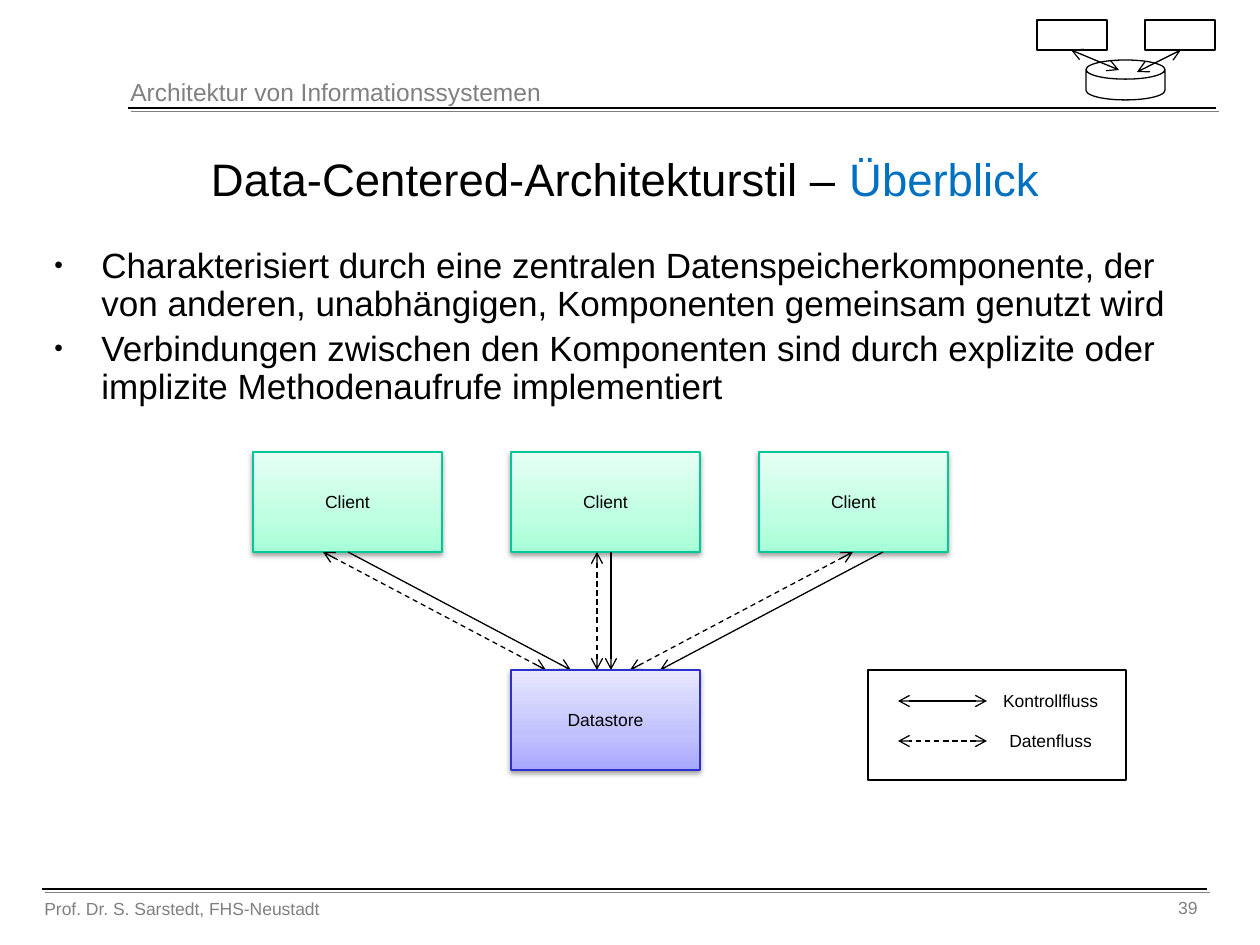
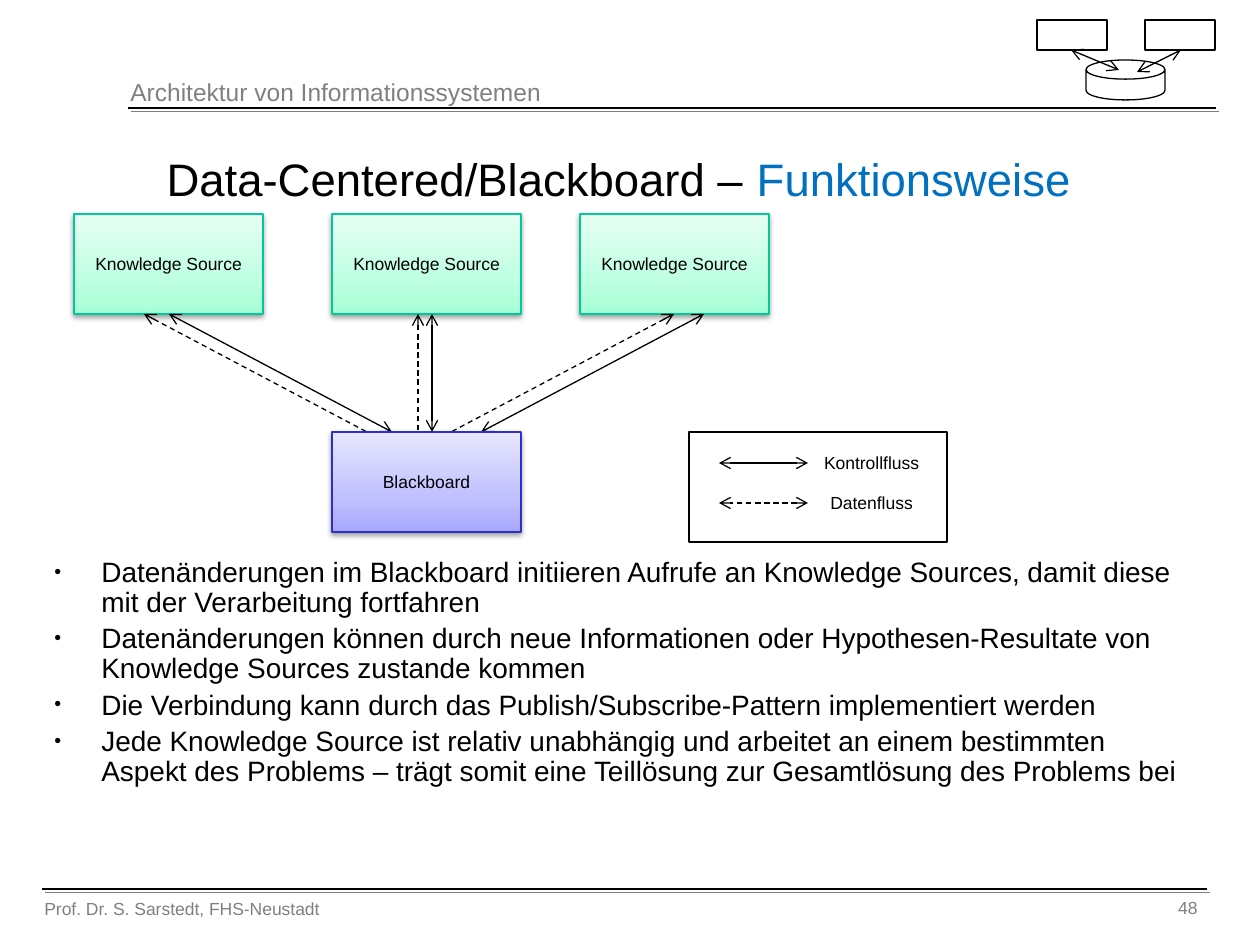
"""Build two slides on the data-centered architecture style."""
from dataclasses import dataclass

import pptx
import pptx.dml.color
import pptx.enum.dml
import pptx.enum.shapes
import pptx.enum.text
import pptx.oxml
import pptx.oxml.ns
import pptx.util

EMU_PER_PX = 914400 / 126
FONT = "Arial"
COLORS = {
    "text": "000000",
    "muted": "808080",
    "accent": "0070C0",
    "client_line": "00C896",
    "store_line": "2E2ECB",
}
GRADIENTS = {
    "client": ("A5FFD6", "BFFFE2", "E7FFF3"),
    "store": ("A7A7FF", "C1C1FF", "E7E7FF"),
}
STOPS = (0, 35000, 100000)

SHAPE = pptx.enum.shapes.MSO_SHAPE
ALIGN = pptx.enum.text.PP_ALIGN
ANCHOR = pptx.enum.text.MSO_ANCHOR


@dataclass(frozen=True)
class Box:
    x: int
    y: int
    w: int
    h: int

    def emu(self) -> list:
        return [px(v) for v in (self.x, self.y, self.w, self.h)]


@dataclass(frozen=True)
class Line:
    x1: int
    y1: int
    x2: int
    y2: int
    dashed: bool = False
    head: bool = False
    tail: bool = False


@dataclass(frozen=True)
class Shadow:
    color: str
    alpha: int
    blur: float
    dist: float
    angle: int


@dataclass(frozen=True)
class Page:
    number: str
    title: str
    highlight: str
    body: Box
    body_size: int
    bullets: tuple
    x: int
    y: int
    client: str
    store: str
    control_ends: tuple
    data_ends: tuple


RULE_SHADOW = Shadow(COLORS["muted"], 100, 0, 2.8, 45)
BOX_SHADOW = Shadow(COLORS["text"], 38, 3.1, 1.6, 90)

RULES = (Line(128, 108, 1216, 108), Line(42, 889, 1207, 889))
ICON_BOXES = (Box(1037, 20, 70, 30), Box(1145, 20, 70, 30))
ICON_ARROWS = (
    Line(1071, 50, 1119, 70, head=True, tail=True),
    Line(1181, 50, 1137, 72, head=True, tail=True),
)

CLIENT_XS = (0, 258, 506)
CLIENT_W, CLIENT_H = 189, 100
STORE_X, STORE_Y = 258, 218
CONTROL_XS = ((95, 318), (358, 358), (630, 407))
DATA_XS = ((70, 293), (344, 344), (600, 377))
LEGEND = (("Kontrollfluss", 249, False), ("Datenfluss", 289, True))

PAGES = (
    Page(
        "39", "Data-Centered-Architekturstil – ", "Überblick",
        Box(42, 242, 1166, 638), 20,
        (
            "Charakterisiert durch eine zentralen Datenspeicherkomponente, der von "
            "anderen, unabhängigen, Komponenten gemeinsam genutzt wird",
            "Verbindungen zwischen den Komponenten sind durch explizite oder "
            "implizite Methodenaufrufe implementiert",
        ),
        253, 452, "Client", "Datastore", (False, True), (True, True),
    ),
    Page(
        "48", "Data-Centered/Blackboard – ", "Funktionsweise ",
        Box(42, 552, 1166, 297), 16,
        (
            "Datenänderungen im Blackboard initiieren Aufrufe an Knowledge Sources, "
            "damit diese mit der Verarbeitung fortfahren",
            "Datenänderungen können durch neue Informationen oder "
            "Hypothesen-Resultate von Knowledge Sources zustande kommen",
            "Die Verbindung kann durch das Publish/Subscribe-Pattern "
            "implementiert werden",
            "Jede Knowledge Source ist relativ unabhängig und arbeitet an einem "
            "bestimmten Aspekt des Problems – trägt somit eine Teillösung zur "
            "Gesamtlösung des Problems bei",
        ),
        74, 214, "Knowledge Source", "Blackboard", (True, True), (True, False),
    ),
)


def px(value: float) -> int:
    return round(value * EMU_PER_PX)


def rgb(color: str) -> pptx.dml.color.RGBColor:
    return pptx.dml.color.RGBColor.from_string(color)


def a_xml(markup: str):
    name, rest = markup[:-2].split(" ", 1) if markup.endswith("/>") else (None, None)
    if name:
        markup = f"{name} {pptx.oxml.ns.nsdecls('a')} {rest}/>"
    else:
        name, rest = markup.split(">", 1)
        markup = f"{name} {pptx.oxml.ns.nsdecls('a')}>{rest}"
    return pptx.oxml.parse_xml(markup)


def add_run(p, text: str, size: int, color: str = "text") -> None:
    r = p.add_run()
    r.text = text
    r.font.size = pptx.util.Pt(size)
    r.font.name = FONT
    r.font.color.rgb = rgb(COLORS[color])


def add_text(s, box: Box, text: str, size: int, color: str = "text",
             align=ALIGN.LEFT, wrap: bool = True) -> None:
    tf = s.shapes.add_textbox(*box.emu()).text_frame
    tf.word_wrap = wrap
    p = tf.paragraphs[0]
    p.alignment = align
    add_run(p, text, size, color)


def set_line(sp, color: str) -> None:
    sp.line.color.rgb = rgb(COLORS[color])
    sp.line.width = pptx.util.Pt(0.75)


def set_shadow(sp, shadow: Shadow | None) -> None:
    inner = ""
    if shadow:
        inner = (
            f'<a:outerShdw blurRad="{pptx.util.Pt(shadow.blur)}" '
            f'dist="{pptx.util.Pt(shadow.dist)}" dir="{shadow.angle * 60000}" '
            f'algn="ctr" rotWithShape="0"><a:srgbClr val="{shadow.color}">'
            f'<a:alpha val="{shadow.alpha * 1000}"/></a:srgbClr></a:outerShdw>'
        )
    sp.element.spPr.append(a_xml(f"<a:effectLst>{inner}</a:effectLst>"))


def add_line(s, line: Line, shadow: Shadow | None = None) -> None:
    ends = [px(v) for v in (line.x1, line.y1, line.x2, line.y2)]
    sp = s.shapes.add_connector(pptx.enum.shapes.MSO_CONNECTOR.STRAIGHT, *ends)
    set_line(sp, "text")
    if line.dashed:
        sp.line.dash_style = pptx.enum.dml.MSO_LINE.DASH
    for tag, wanted in (("headEnd", line.head), ("tailEnd", line.tail)):
        if wanted:
            sp.get_or_add_ln().append(a_xml(f'<a:{tag} type="arrow"/>'))
    set_shadow(sp, shadow)


def add_outline(s, box: Box, kind=SHAPE.RECTANGLE):
    sp = s.shapes.add_shape(kind, *box.emu())
    sp.fill.background()
    set_line(sp, "text")
    sp.shadow.inherit = False
    return sp


def add_component(s, box: Box, label: str, style: str) -> None:
    sp = s.shapes.add_shape(SHAPE.RECTANGLE, *box.emu())
    set_line(sp, f"{style}_line")
    stops = "".join(
        f'<a:gs pos="{pos}"><a:srgbClr val="{color}"/></a:gs>'
        for pos, color in zip(STOPS, GRADIENTS[style])
    )
    sp.get_or_add_ln().addprevious(a_xml(
        f"<a:gradFill><a:gsLst>{stops}</a:gsLst>"
        '<a:lin ang="16200000" scaled="1"/></a:gradFill>'
    ))
    set_shadow(sp, BOX_SHADOW)
    tf = sp.text_frame
    tf.word_wrap = True
    tf.vertical_anchor = ANCHOR.MIDDLE
    p = tf.paragraphs[0]
    p.alignment = ALIGN.CENTER
    add_run(p, label, 10)


def add_frame(s, number: str) -> None:
    for rule in RULES:
        add_line(s, rule, RULE_SHADOW)
    add_text(s, Box(32, 892, 567, 34), "Prof. Dr. S. Sarstedt, FHS-Neustadt", 10, "muted")
    add_text(s, Box(118, 71, 883, 43), "Architektur von Informationssystemen", 14, "muted")
    add_text(s, Box(1081, 891, 129, 39), number, 10, "muted", ALIGN.RIGHT)


def add_icon(s) -> None:
    for box in ICON_BOXES:
        add_outline(s, box)
    can = add_outline(s, Box(1086, 60, 79, 40), SHAPE.CAN)
    can.adjustments[0] = 0.48
    for arrow in ICON_ARROWS:
        add_line(s, arrow)


def add_title(s, page: Page) -> None:
    sp = s.shapes.title
    sp.left, sp.top, sp.width, sp.height = Box(42, 147, 1166, 63).emu()
    tf = sp.text_frame
    tf.auto_size = pptx.enum.text.MSO_AUTO_SIZE.NONE
    tf.vertical_anchor = ANCHOR.MIDDLE
    p = tf.paragraphs[0]
    p.alignment = ALIGN.CENTER
    add_run(p, page.title, 26)
    add_run(p, page.highlight, 26, "accent")


def add_bullets(s, page: Page) -> None:
    tf = s.shapes.add_textbox(*page.body.emu()).text_frame
    tf.word_wrap = True
    for i, text in enumerate(page.bullets):
        p = tf.add_paragraph() if i else tf.paragraphs[0]
        p.line_spacing = 0.9
        p.space_before = pptx.util.Pt(page.body_size * 0.21)
        pPr = p._p.get_or_add_pPr()
        pPr.set("marL", str(px(47)))
        pPr.set("indent", str(px(-47)))
        pPr.append(a_xml('<a:buSzPct val="70000"/>'))
        pPr.append(a_xml(f'<a:buFont typeface="{FONT}"/>'))
        pPr.append(a_xml('<a:buChar char="•"/>'))
        add_run(p, text, page.body_size)


def add_diagram(s, page: Page) -> None:
    x, y = page.x, page.y
    for dx in CLIENT_XS:
        add_component(s, Box(x + dx, y, CLIENT_W, CLIENT_H), page.client, "client")
    flows = ((CONTROL_XS, False, page.control_ends), (DATA_XS, True, page.data_ends))
    for spans, dashed, ends in flows:
        for top, bottom in spans:
            add_line(s, Line(x + top, y + CLIENT_H, x + bottom, y + STORE_Y, dashed, *ends))
    add_component(s, Box(x + STORE_X, y + STORE_Y, CLIENT_W, CLIENT_H), page.store, "store")

    add_outline(s, Box(x + 615, y + STORE_Y, 258, 110))
    for label, dy, dashed in LEGEND:
        add_line(s, Line(x + 734, y + dy, x + 645, y + dy, dashed, True, True))
        add_text(s, Box(x + 737, y + dy - 17, 121, 34), label, 10,
                 align=ALIGN.CENTER, wrap=False)


def main() -> None:
    prs = pptx.Presentation()
    prs.slide_width, prs.slide_height = px(1260), px(945)
    for page in PAGES:
        s = prs.slides.add_slide(prs.slide_layouts[5])
        add_frame(s, page.number)
        add_title(s, page)
        add_bullets(s, page)
        add_diagram(s, page)
        add_icon(s)
    prs.save("out.pptx")


if __name__ == "__main__":
    main()
